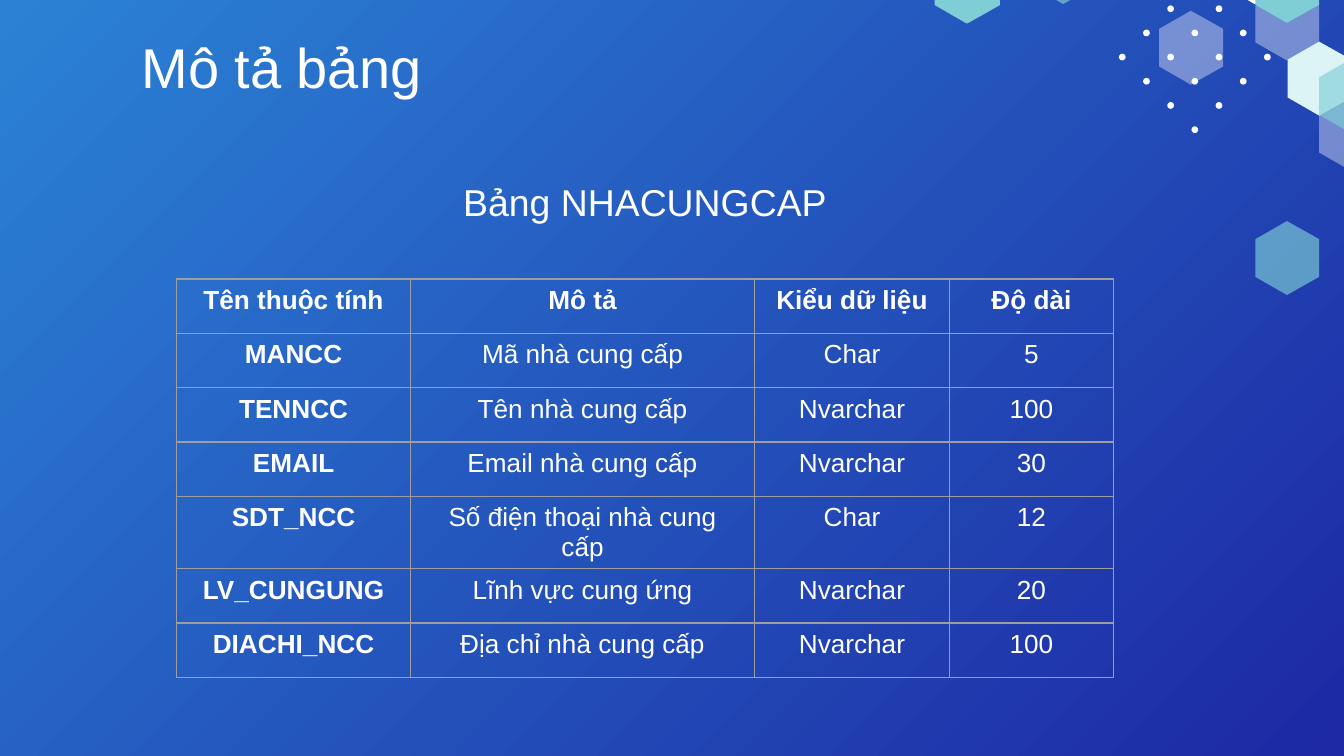
from itertools import product

from lxml import etree
from pptx import Presentation
from pptx import util as u
from pptx.dml.color import RGBColor
from pptx.enum import shapes, text
from pptx.oxml import ns

SCALE = 4572  # EMU in one px, 200 px to the inch
WHITE = RGBColor(0xFF, 0xFF, 0xFF)
SKY = RGBColor(0x2B, 0x82, 0xD5)
NAVY = RGBColor(0x1D, 0x28, 0xA4)
TEAL = RGBColor(0x7F, 0xCE, 0xD6)
ICE = RGBColor(0xDD, 0xF4, 0xF7)
GREY = RGBColor(0x9E, 0x9E, 0x9E)

# Left, top, colour, opacity in percent and edge colour, from back to front
HEXAGONS = [
    (1868, -20, WHITE, 38, None),
    (1820, -104, WHITE, 100, None),
    (1535, -104, TEAL, 65, None),
    (1916, 62, ICE, 100, None),
    (1963, 144, WHITE, 38, None),
    (1725, 16, WHITE, 38, None),
    (1868, -76, TEAL, 100, None),
    (1392, -76, TEAL, 100, TEAL),
    (1963, 88, TEAL, 65, None),
    (1868, 329, TEAL, 65, None),
]

COLUMN_WIDTHS = [348, 512, 290, 244]
ATTRIBUTES = [
    ("Tên thuộc tính", "Mô tả", "Kiểu dữ liệu", "Độ dài"),
    ("MANCC", "Mã nhà cung cấp", "Char", "5"),
    ("TENNCC", "Tên nhà cung cấp", "Nvarchar", "100"),
    ("EMAIL", "Email nhà cung cấp", "Nvarchar", "30"),
    ("SDT_NCC", "Số điện thoại nhà cung cấp", "Char", "12"),
    ("LV_CUNGUNG", "Lĩnh vực cung ứng", "Nvarchar", "20"),
    ("DIACHI_NCC", "Địa chỉ nhà cung cấp", "Nvarchar", "100"),
]


def px(length):
    return u.Emu(round(length * SCALE))


def apply_format(target, values):
    for name, value in values.items():
        setattr(target, name, value)


def write(frame, words, size, bold=False):
    paragraph = frame.paragraphs[0]
    paragraph.alignment = text.PP_ALIGN.CENTER
    run = paragraph.add_run()
    run.text = words
    apply_format(run.font, {"name": "Arial", "size": u.Pt(size), "bold": bold})
    run.font.color.rgb = WHITE


def paint(shape, colour, opacity=100, edge=None):
    shape.shadow.inherit = False
    shape.fill.solid()
    shape.fill.fore_color.rgb = colour
    if edge is None:
        shape.line.fill.background()
    else:
        shape.line.color.rgb = edge
        shape.line.width = u.Pt(0.75)
    if opacity < 100:
        colour_node = shape.fill._xPr.find(".//" + ns.qn("a:srgbClr"))
        etree.SubElement(colour_node, ns.qn("a:alpha"), val=str(opacity * 1000))


def add_backdrop(slide):
    fill = slide.background.fill
    fill.gradient()
    fill.gradient_angle = 315
    for stop, colour in zip(fill.gradient_stops, (SKY, NAVY)):
        stop.color.rgb = colour


def add_dots(slide, left, top, step=36, size=10):
    """Diamond of dots on every other point of a 7 by 6 grid."""
    for row, column in product(range(6), range(7)):
        if (row + column) % 2 == 0 and abs(column - 3) + abs(row - 2) <= 3:
            dot = slide.shapes.add_shape(
                shapes.MSO_SHAPE.OVAL,
                px(left + column * step), px(top + row * step), px(size), px(size))
            paint(dot, WHITE)


def add_hexagon(slide, left, top, colour, opacity, edge, width=95, height=110):
    middle, shoulder = width // 2, height // 4
    corners = [(width, shoulder), (width, height - shoulder), (middle, height),
               (0, height - shoulder), (0, shoulder)]
    outline = slide.shapes.build_freeform(left + middle, top, scale=SCALE)
    outline.add_line_segments([(left + x, top + y) for x, y in corners])
    paint(outline.convert_to_shape(), colour, opacity, edge)


def add_heading(slide, left, top, width, height, words, size):
    heading = slide.shapes.add_textbox(px(left), px(top), px(width), px(height))
    frame = heading.text_frame
    margins = dict.fromkeys(
        ("margin_left", "margin_top", "margin_right", "margin_bottom"), px(20))
    apply_format(frame, {"word_wrap": True,
                         "vertical_anchor": text.MSO_ANCHOR.BOTTOM, **margins})
    write(frame, words, size)


def add_borders(cell):
    properties = cell._tc.get_or_add_tcPr()
    for position, side in enumerate(("a:lnL", "a:lnR", "a:lnT", "a:lnB")):
        border = etree.Element(ns.qn(side), w=str(u.Pt(0.75)))
        solid = etree.SubElement(border, ns.qn("a:solidFill"))
        etree.SubElement(solid, ns.qn("a:srgbClr"), val=str(GREY))
        properties.insert(position, border)


def add_attribute_table(slide, left, top, height):
    table = slide.shapes.add_table(
        len(ATTRIBUTES), len(COLUMN_WIDTHS),
        px(left), px(top), px(sum(COLUMN_WIDTHS)), px(height)).table
    apply_format(table, {"first_row": False, "horz_banding": False})
    for column, width in zip(table.columns, COLUMN_WIDTHS):
        column.width = px(width)
    for row_index, attribute in enumerate(ATTRIBUTES):
        table.rows[row_index].height = px(height / len(ATTRIBUTES))
        for column_index, words in enumerate(attribute):
            cell = table.cell(row_index, column_index)
            apply_format(cell, {"margin_left": px(24), "margin_right": px(24),
                                "margin_top": px(10), "margin_bottom": px(4)})
            cell.fill.background()
            add_borders(cell)
            # Header row and attribute names are bold
            write(cell.text_frame, words, 14, row_index == 0 or column_index == 0)


def main():
    deck = Presentation()
    apply_format(deck, {"slide_width": px(2000), "slide_height": px(1125)})
    slide = deck.slides.add_slide(deck.slide_layouts[6])

    # Background and corner decoration
    add_backdrop(slide)
    add_dots(slide, 1665, 8)
    for hexagon in HEXAGONS:
        add_hexagon(slide, *hexagon)

    # Title, table and its caption
    add_heading(slide, 98, 44, 642, 124, "Mô tả bảng", 30)
    add_attribute_table(slide, 263, 415, 567)
    add_heading(slide, 380, 230, 1160, 124, "Bảng NHACUNGCAP", 20)

    deck.save("out.pptx")


if __name__ == "__main__":
    main()
